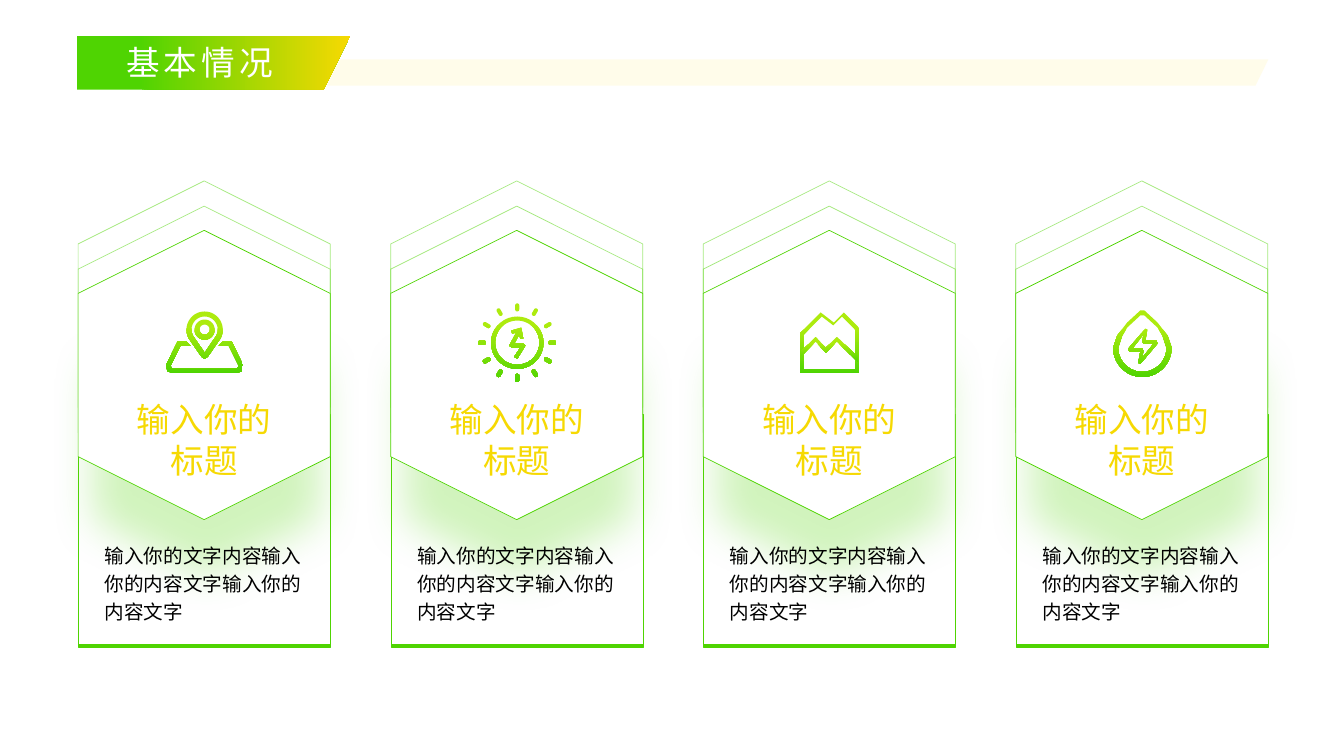
"""Build a slide with a title banner and four layered hexagon cards."""
from math import cos, sin, radians
from lxml.etree import SubElement as Sub
from pptx import Presentation
from pptx.dml.color import RGBColor
from pptx.enum.shapes import MSO_CONNECTOR as Conn, MSO_SHAPE as Kind
from pptx.enum.text import MSO_ANCHOR as Anchor, MSO_AUTO_SIZE as Fit, PP_ALIGN as Align
from pptx.oxml.ns import qn
from pptx.util import Inches, Pt

FONT = "Noto Sans CJK SC"
GREEN, LIME, GOLD, WHITE, BLACK = "4FD402", "ADEB0E", "F6D902", "FFFFFF", "000000"
rgb = RGBColor.from_string


def arc(x, y, r, start, end):
    """Return points along an arc, with angles clockwise from the right."""
    turns = [radians(start + (end - start) * i / 18) for i in range(19)]
    return [(x + r * cos(t), y + r * sin(t)) for t in turns]


def fade(fill, first, last, start, angle):
    """Give a fill a gradient from the first colour to the last."""
    fill.gradient()
    fill.gradient_angle = angle
    for stop, place, tint in zip(fill.gradient_stops, (start, 1), (first, last)):
        stop.position = place
        stop.color.rgb = rgb(tint)


pres = Presentation()
pres.slide_width, pres.slide_height = Inches(13.33), Inches(7.5)
slide = pres.slides.add_slide(pres.slide_layouts[5])
shapes = slide.shapes

band = shapes.add_shape(Kind.PARALLELOGRAM, Inches(2.95), Inches(0.59), Inches(9.63), Inches(0.26))
band.adjustments[0] = 0.49
band.shadow.inherit = False
band.fill.solid()
band.fill.fore_color.rgb = rgb("FFF8CB")
band.line.fill.background()
Sub(band.element.spPr.find(".//" + qn("a:srgbClr")), qn("a:alpha"), val="40000")

rim = [(0.32, 3.66), (0.34, 3.63), (0.24, 3.43), (0.14, 3.43), (0.18, 3.39),
       (0.27, 3.39), (0.38, 3.62), (0.37, 3.68), (0.32, 3.7)]
halves = {
    "pin": [arc(0, 3.27, 0.18, -90, 30) + [(0.03, 3.54), (0, 3.56)],
            arc(0, 3.27, 0.13, -90, 30) + [(0, 3.5)],
            arc(0, 3.27, 0.1, -90, 90), arc(0, 3.27, 0.05, -90, 90), rim],
    "sun": [arc(0, 3.4, r, -90, 90) for r in (0.26, 0.22)],
    "drop": [[(0.02, tip), (0.15, tip + 0.12), (r - 0.04, 3.33)] + arc(0, 3.45, r, 0, 90)
             for r, tip in ((0.29, 3.08), (0.24, 3.13))],
}
icons = {name: [half + [(-x, y) for x, y in half[::-1]] for half in parts]
         for name, parts in halves.items()}

for deg in range(0, 360, 30):
    dx, dy = cos(radians(deg)), sin(radians(deg))
    icons["sun"].append(arc(0.37 * dx, 3.4 + 0.37 * dy, 0.02, deg - 90, deg + 90)
                        + arc(0.33 * dx, 3.4 + 0.33 * dy, 0.02, deg + 90, deg + 270))
icons["sun"].append([(0.06, 3.36), (0.04, 3.25), (-0.06, 3.28), (-0.05, 3.31), (-0.01, 3.3),
                     (-0.08, 3.43), (-0.05, 3.45), (0.03, 3.45), (-0.03, 3.54), (0, 3.56),
                     (0.08, 3.43), (0.06, 3.41), (-0.03, 3.41), (0.02, 3.32), (0.03, 3.36)])

for bolt in ([(0.03, 3.26), (0.05, 3.27), (0.03, 3.38), (0.14, 3.38), (0.15, 3.41)],
             [(0.01, 3.32), (0, 3.39), (0.01, 3.41), (0.11, 3.41)]):
    icons["drop"].append(bolt + [(0.01 - x, 6.87 - y) for x, y in bolt])

frame = [(0.29, 3.7), (-0.3, 3.7), (-0.3, 3.31), (-0.09, 3.1), (0.04, 3.2), (0.14, 3.1), (0.29, 3.25)]
icons["frame"] = [frame, [(0.87 * x, 3.42 + 0.87 * (y - 3.42)) for x, y in frame]]
ridge = [(-0.29, 3.49), (-0.14, 3.34), (-0.04, 3.45), (0.07, 3.34), (0.28, 3.54)]
icons["ridge"] = [ridge + [(x, y + 0.05) for x, y in ridge[::-1]]]
icons["tag"] = [[(0.76, 0.36), (3.47, 0.36), (3.21, 0.89), (0.76, 0.89)]]

art = [("tag", 0, GREEN, GOLD, 0.23, 0)]
texts = []
for i, names in enumerate((["pin"], ["sun"], ["frame", "ridge"], ["drop"])):
    left = 0.78 + 3.1 * i
    mid = left + 1.25
    art += [(name, mid, LIME, GREEN, 0.26, 270) for name in names]

    for role, top in (("back", 1.98), ("back", 2.23), ("panel", 4.11), ("front", 2.47)):
        if role == "panel":
            card = shapes.add_shape(Kind.RECTANGLE, Inches(left), Inches(top), Inches(2.5), Inches(2.31))
        else:
            card = shapes.add_shape(Kind.HEXAGON, Inches(mid - 1.44), Inches(top), Inches(2.87), Inches(2.5))
            card.rotation = 270
        card.shadow.inherit = False
        card.line.color.rgb = rgb(GREEN)
        card.line.width = Pt(0.5)
        props = card.element.spPr
        if role == "back":
            card.fill.background()
            Sub(props.find(".//" + qn("a:srgbClr")), qn("a:alpha"), val="50000")
        else:
            card.fill.solid()
            card.fill.fore_color.rgb = rgb(WHITE)
        if role == "panel":
            rule = shapes.add_connector(Conn.STRAIGHT, Inches(left), Inches(6.4), Inches(left + 2.5), Inches(6.4))
            rule.line.color.rgb = rgb(GREEN)
            rule.line.width = Pt(2.25)
            Sub(rule.element.spPr, qn("a:effectLst"))
        if role == "front":
            glow = Sub(props.find(qn("a:effectLst")), qn("a:outerShdw"), blurRad=str(Pt(30)),
                       dist=str(Pt(22)), dir="5400000", sx="90000", sy="90000",
                       algn="b", rotWithShape="0")
            Sub(Sub(glow, qn("a:srgbClr"), val=GREEN), qn("a:alpha"), val="25000")

    head = shapes.add_textbox(Inches(left + 0.4), Inches(3.91), Inches(1.69), Inches(0.91))
    note = shapes.add_textbox(Inches(left + 0.16), Inches(5.3), Inches(2.18), Inches(0.93))
    texts += [(head, "输入你的标题", 24, Align.CENTER, 1.0, GOLD),
              (note, "输入你的文字内容输入你的内容文字输入你的内容文字", 14, Align.LEFT, 1.2, BLACK)]

for name, mid, first, last, start, angle in art:
    pen = None
    for loop in icons[name]:
        spots = [(Inches(mid + x), Inches(y)) for x, y in loop]
        if pen is None:
            pen = shapes.build_freeform(*spots[0], scale=1.0)
        else:
            pen.move_to(*spots[0])
        pen.add_line_segments(spots[1:], close=True)
    form = pen.convert_to_shape()
    form.shadow.inherit = False
    form.line.fill.background()
    fade(form.fill, first, last, start, angle)

title = shapes.title
title.left, title.top, title.width, title.height = Inches(0.76), Inches(0.37), Inches(2.44), Inches(0.5)
title.element.getparent().append(title.element)
texts.append((title, "基本情况", 24, Align.CENTER, 1.0, WHITE))

for box, words, size, align, pitch, tint in texts:
    body = box.text_frame
    body.text = words
    body.word_wrap = True
    body.auto_size = Fit.SHAPE_TO_FIT_TEXT
    body.vertical_anchor = Anchor.TOP
    para = body.paragraphs[0]
    para.alignment = align
    para.line_spacing = pitch
    font = para.runs[0].font
    font.size = Pt(size)
    font.name = FONT
    if tint == GOLD:
        fade(font.fill, GOLD, "3B9F01", 0, 270)
    else:
        font.color.rgb = rgb(tint)
    Sub(box.element.find(".//" + qn("a:rPr")), qn("a:ea"), typeface=FONT)
title.element.find(".//" + qn("a:rPr")).set("spc", "300")

pres.save("out.pptx")
